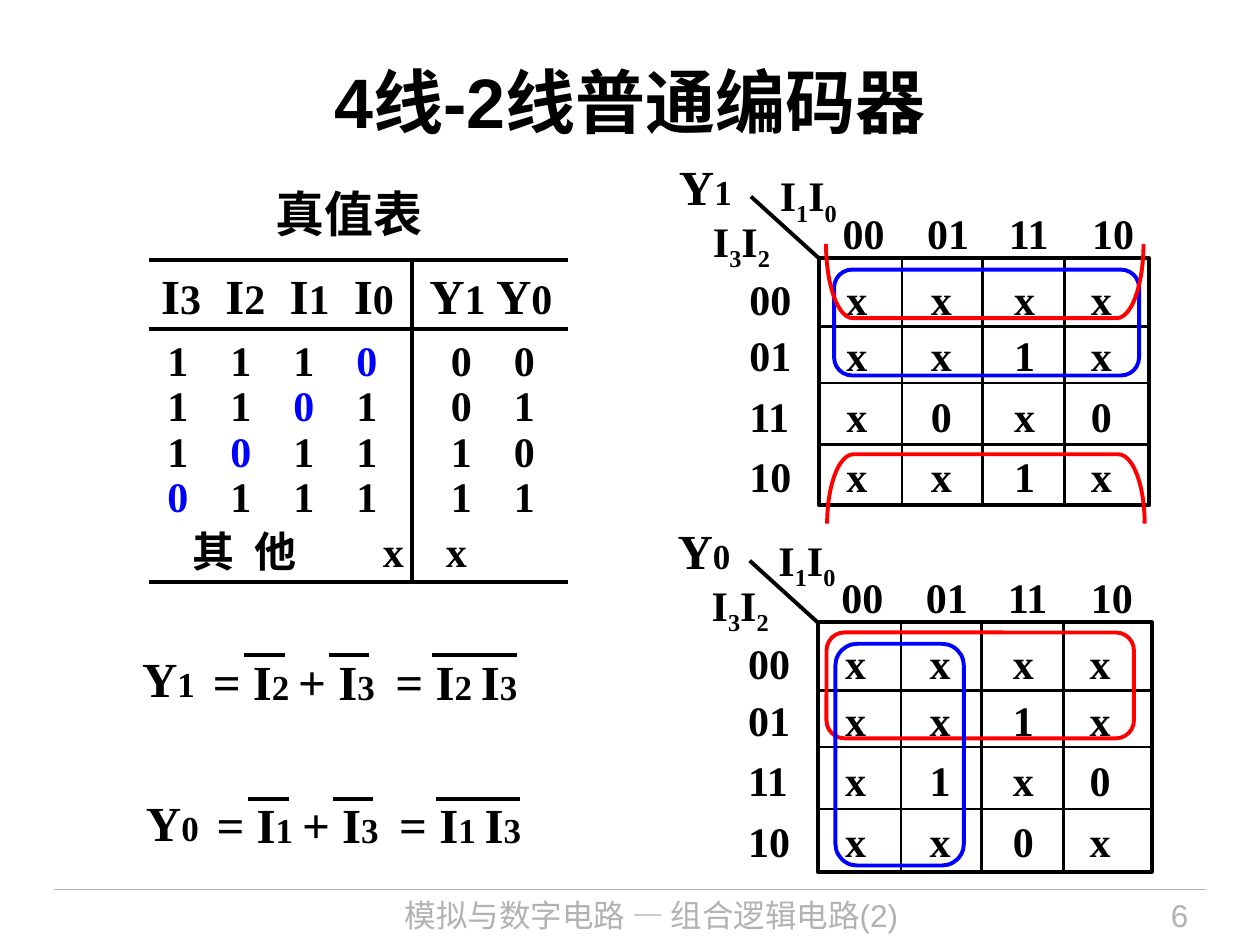
from pptx import Presentation
from pptx.dml.color import RGBColor
from pptx.enum.shapes import MSO_CONNECTOR as Link, MSO_SHAPE as Form
from pptx.enum.text import MSO_ANCHOR as Anchor, PP_ALIGN as Align
from pptx.oxml.ns import qn
from pptx.util import Inches, Pt
from lxml.etree import SubElement as Sub

BLACK, BLUE, RED, GREY = "000000", "0000FF", "FF0000", "B2B2B2"
ROMAN, SANS, HAN = "Times New Roman", "Arial", "Noto Sans CJK SC"
COLS, ROWS = 100, 75


def hue(code):
    return RGBColor.from_string(code)


class Sheet:
    def __init__(self):
        self.deck = Presentation()
        self.deck.slide_width, self.deck.slide_height = Inches(10), Inches(7.5)
        self.slide = self.deck.slides.add_slide(self.deck.slide_layouts[5])
        self.shapes = self.slide.shapes

    def grid(self, *cells):
        units = self.deck.slide_width / COLS, self.deck.slide_height / ROWS
        return [round(cell * units[i % 2]) for i, cell in enumerate(cells)]

    def run(self, para, text, size=24, color=BLACK, font=ROMAN, bold=True, base=0):
        run = para.add_run()
        run.text = text
        face = run.font
        face.size, face.bold, face.name = Pt(size), bold, font
        face.color.rgb = hue(color)
        props = run._r.get_or_add_rPr()
        if base:
            props.set("baseline", str(base * 1000))
        Sub(props, qn("a:ea")).set("typeface", HAN)

    def fill(self, para, runs, **style):
        for text, *size in runs:
            extra = dict(style, size=size[0]) if size else style
            self.run(para, text, **extra)

    def text(self, box, runs=(), align=Align.LEFT, wrap=False, **style):
        frame = self.shapes.add_textbox(*self.grid(*box)).text_frame
        frame.word_wrap = wrap
        para = frame.paragraphs[0]
        para.alignment = align
        self.fill(para, runs, **style)
        return frame

    def tabs(self, para, stops):
        tabs = Sub(para._p.get_or_add_pPr(), qn("a:tabLst"))
        for stop in stops:
            tab = Sub(tabs, qn("a:tab"))
            tab.set("pos", str(self.grid(stop)[0]))
            tab.set("algn", "l")

    def title(self, box, text, **style):
        hold = self.shapes.title
        hold.left, hold.top, hold.width, hold.height = self.grid(*box)
        frame = hold.text_frame
        frame.vertical_anchor = Anchor.MIDDLE
        para = frame.paragraphs[0]
        para.alignment = Align.CENTER
        self.run(para, text, **style)

    def line(self, ends, width=2.25, color=BLACK):
        line = self.shapes.add_connector(Link.STRAIGHT, *self.grid(*ends))
        line.line.width, line.line.color.rgb = Pt(width), hue(color)
        Sub(line._element.spPr, qn("a:effectLst"))

    def shape(self, form, box, color, curve=None, turn=0, flip=False):
        shape = self.shapes.add_shape(form, *self.grid(*box))
        shape.shadow.inherit = False
        shape.fill.background()
        shape.line.width, shape.line.color.rgb = Pt(2.25), hue(color)
        shape.rotation = turn
        if curve:
            shape.adjustments[0] = curve
        if flip:
            shape._element.spPr.xfrm.set("flipH", "1")

    def index(self, x, y, pair):
        para = self.text((x, y, 6.8, 5)).paragraphs[0]
        for digit in pair:
            self.run(para, "I")
            self.run(para, digit, base=-25)

    def karnaugh(self, x, y, wide, high, name, rows):
        self.shape(Form.RECTANGLE, (x, y, wide, high), BLACK)
        for gap in (6.6, 13, 19.5):
            self.line((x + gap, y, x + gap, y + high), 1.5)
        for gap in (5.4, 9.9, 14.8):
            self.line((x, y + gap, x + wide, y + gap), 1.5)
        self.line((x, y, x - 5.4, y - 4.9))
        self.text((x - 12.1, y - 8.6, 6.2, 5.7), [("Y", 28), (name, 20)])
        self.index(x - 9.4, y - 3.9, "32")
        self.index(x - 4.1, y - 7.5, "10")
        codes = "00", "01", "11", "10"
        for code, gap in zip(codes, (0.9, 7.6, 14.1, 20.7)):
            self.text((x + gap, y - 4.5, 5.3, 5), [(code,)])
        for code, row, drop in zip(codes, rows, (0.7, 5.2, 10, 14.8)):
            self.text((x - 6.5, y + drop, 5.3, 5), [(code,)])
            for mark, gap in zip(row, (1.2, 7.9, 14.5, 20.6)):
                self.text((x + gap, y + drop, 3.7, 5), [(mark,)])

    def formula(self, x, y, name, first):
        self.text((x - 5.6, y - 0.2, 6.2, 5.7), [("Y", 28), (name, 20)])
        self.text((x, y, 16.5, 5.7),
                  [("= I", 28), (first + " ", 20), ("+ I", 28), ("3", 20)])
        self.text((x + 14.5, y, 15, 5.7),
                  [("= I", 28), (first + " ", 20), ("I", 28), ("3", 20)])
        for gap, wide in ((3.5, 3.2), (10.2, 3.2), (18.4, 6.7)):
            self.line((x + gap, y + 0.8, x + gap + wide, y + 0.8))

    def truth(self):
        self.text((20.9, 14.1, 13.7, 5.7), [("真值表", 28)], font=SANS)
        for y in (20.6, 26.1, 46.2):
            self.line((11.8, y, 45.1, y))
        self.line((32.7, 20.6, 32.7, 46.2))
        para = self.text((11.8, 20.6, 33.4, 5.7), wrap=True).paragraphs[0]
        self.tabs(para, (5.1, 10.2, 15.3, 21.3, 26.6))
        for i, (sign, digit) in enumerate(("I3", "I2", "I1", "I0", "Y1", "Y0")):
            self.fill(para, [("\t" * (i > 0) + sign, 28), (digit, 24)])
        frame = self.text((12.3, 26.5, 32.6, 15.4), wrap=True)
        for n in range(4):
            para = frame.add_paragraph() if n else frame.paragraphs[0]
            para.line_spacing = 0.9
            self.tabs(para, (5, 10, 15, 22.5, 27.5))
            bits = ["0" if i == 3 - n else "1" for i in range(4)]
            for i, bit in enumerate(bits + list(f"{n:02b}")):
                blue = i < 4 and bit == "0"
                self.run(para, "\t" * (i > 0) + bit, color=BLUE if blue else BLACK)
        para = self.text((13.6, 41.2, 29.7, 5), wrap=True).paragraphs[0]
        self.tabs(para, (0.7, 5.6, 15.8, 20.8))
        self.run(para, "\t其\t他", font=HAN)
        self.run(para, "\tx\tx")


page = Sheet()
page.title((5, 1.7, 90, 12.5), "4线-2线普通编码器", size=40, font=SANS)
page.line((4.3, 70.6, 95.7, 70.6), 0.75, GREY)
foot = dict(wrap=True, size=18, color=GREY, font=SANS, bold=False)
page.text((24.9, 70.6, 53.6, 4.4), [("模拟与数字电路 — 组合逻辑电路(2)",)], Align.CENTER, **foot)
page.text((82, 70.6, 13.3, 4.4), [("6",)], Align.RIGHT, **foot)
page.truth()
page.formula(15.9, 51.2, "1", "2")
page.formula(16.2, 62.6, "0", "1")
page.karnaugh(65, 20.5, 26.2, 19.6, "1", ("xxxx", "xx1x", "x0x0", "xx1x"))
page.karnaugh(64.9, 49.4, 26.5, 19.8, "0", ("xxxx", "xx1x", "x1x0", "xx0x"))
for box, color in (((66.2, 21.4, 24.2, 8.4), BLUE),
                   ((65.6, 50.2, 24.4, 8.4), RED),
                   ((66.3, 51.1, 10.2, 17.6), BLUE)):
    page.shape(Form.ROUNDED_RECTANGLE, box, color, 0.17)
for box, curve, turn in (((75.5, 26.2, 5.5, 25.2), 0.38, 90),
                         ((75.2, 9.7, 5.9, 25.2), 0.36, 270)):
    page.shape(Form.RIGHT_BRACKET, box, RED, curve, turn, True)
page.deck.save("out.pptx")
